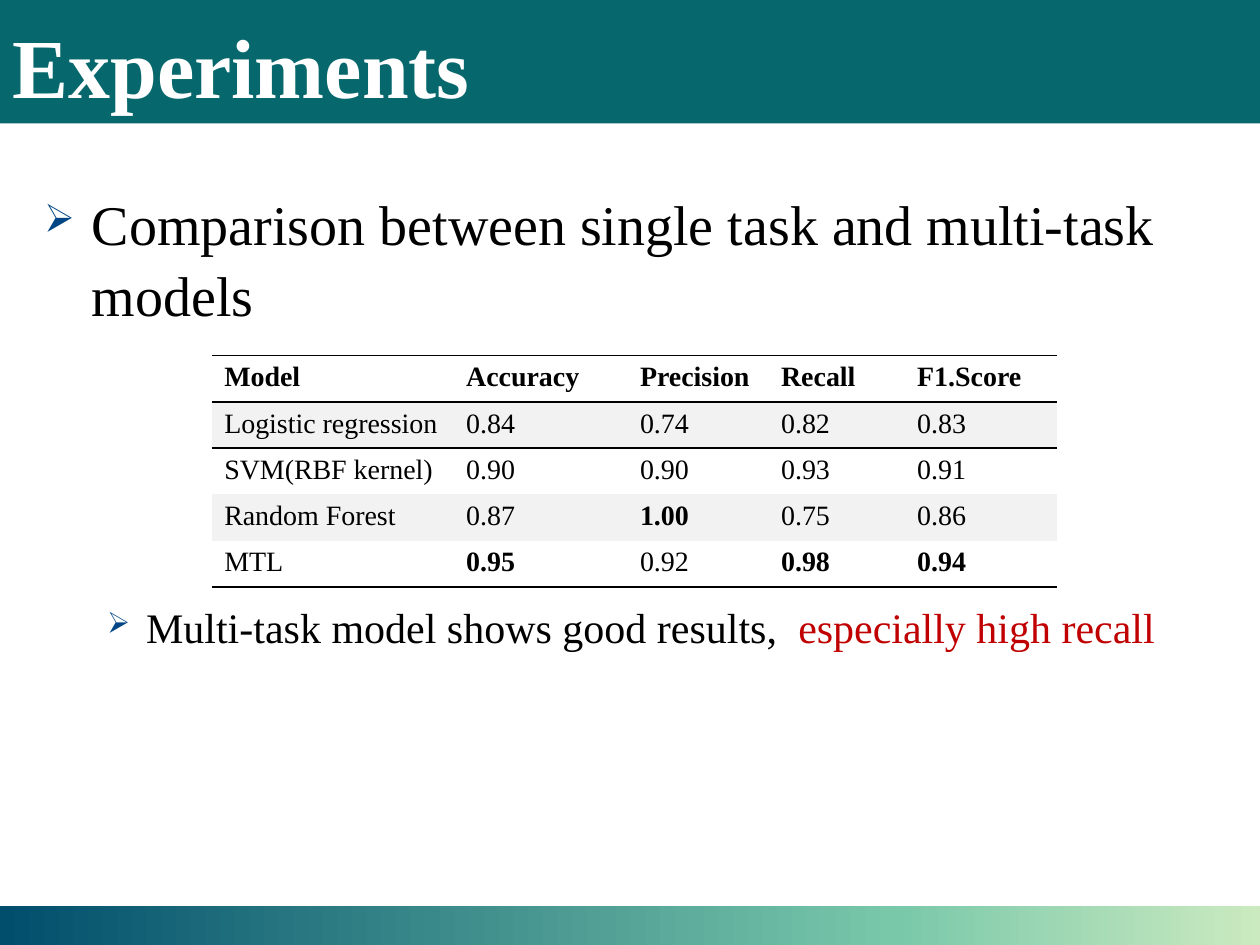
from copy import deepcopy
from dataclasses import dataclass
from typing import Optional

from pptx import Presentation
from pptx.dml.color import RGBColor
from pptx.enum.shapes import MSO_SHAPE
from pptx.enum.text import MSO_ANCHOR, PP_ALIGN
from pptx.oxml.ns import qn
from pptx.oxml.xmlchemy import OxmlElement
from pptx.util import Inches, Pt


@dataclass(frozen=True)
class Theme:
    """Colours, font and type sizes of the slide."""
    font: str = "Times New Roman"
    ink: str = "000000"
    white: str = "FFFFFF"
    header: str = "06686C"
    stripe: str = "F2F2F2"
    accent: str = "C00000"
    bullet: str = "004586"
    footer: tuple = ((0, "CBEAC0"), (0.29, "79C8AA"), (1, "004E6C"))
    title_size: int = 48
    table_size: int = 16
    rule_width: float = 1


@dataclass(frozen=True)
class Span:
    """A stretch of text in one colour."""
    text: str
    color: str


@dataclass(frozen=True)
class Bullet:
    """A bulleted paragraph with its indents in inches and spacing in points."""
    spans: tuple
    size: int
    level: int
    margin: float
    hanging: float
    space_before: float


THEME = Theme()
WIDTH, HEIGHT = 10, 7.5
HEADER_HEIGHT = 0.98
FOOTER_TOP = 7.19

BULLETS = (
    Bullet((Span("Comparison between single task and multi-task models", THEME.ink),),
           32, 0, 0.38, 0.38, 6.4),
    Bullet((Span("Multi-task model shows good results,  ", THEME.ink),
            Span("especially high recall", THEME.accent)),
           24, 1, 0.81, 0.31, 155),
)

COLUMN_WIDTHS = (1.92, 1.38, 1.12, 1.08, 1.21)
HEADER_ROW, BODY_ROW = 0.37, 0.33
RESULTS = (
    ("Model", "Accuracy", "Precision", "Recall", "F1.Score"),
    ("Logistic regression", "0.84", "0.74", "0.82", "0.83"),
    ("SVM(RBF kernel)", "0.90", "0.90", "0.93", "0.91"),
    ("Random Forest", "0.87", "1.00", "0.75", "0.86"),
    ("MTL", "0.95", "0.92", "0.98", "0.94"),
)


def style(span, size: float, color: str, bold: bool = False) -> None:
    """Format one run."""
    span.font.name = THEME.font
    span.font.size = Pt(size)
    span.font.bold = bold
    span.font.color.rgb = RGBColor.from_string(color)


def add_band(page, top: float, height: float, color: Optional[str] = None) -> None:
    """Draw a full-width band behind the title, with the footer gradient if no colour is given."""
    band = page.shapes.add_shape(MSO_SHAPE.RECTANGLE, 0, Inches(top), Inches(WIDTH), Inches(height))
    band.shadow.inherit = False
    band.line.fill.background()
    if color:
        band.fill.solid()
        band.fill.fore_color.rgb = RGBColor.from_string(color)
    else:
        band.fill.gradient()
        band.fill.gradient_angle = 180
        first = band.fill.gradient_stops[0]._gs
        first.addnext(deepcopy(first))
        for stop, (position, shade) in zip(band.fill.gradient_stops, THEME.footer):
            stop.position = position
            stop.color.rgb = RGBColor.from_string(shade)
    page.shapes._spTree.insert(2, band._element)


def set_title(page, text: str) -> None:
    """Place and format the title placeholder."""
    title = page.shapes.title
    title.left, title.top = 0, 0
    title.width, title.height = Inches(WIDTH), Inches(HEADER_HEIGHT)
    frame = title.text_frame
    frame.text = text
    frame.vertical_anchor = MSO_ANCHOR.BOTTOM
    para = frame.paragraphs[0]
    para.alignment = PP_ALIGN.LEFT
    para.line_spacing = 0.9
    style(para.runs[0], THEME.title_size, THEME.white, True)


def add_bullet_mark(para, bullet: Bullet) -> None:
    """Give a paragraph its arrow bullet and hanging indent."""
    properties = para._p.get_or_add_pPr()
    properties.set("marL", str(Inches(bullet.margin)))
    properties.set("indent", str(-Inches(bullet.hanging)))
    color = OxmlElement("a:buClr")
    shade = OxmlElement("a:srgbClr")
    shade.set("val", THEME.bullet)
    color.append(shade)
    size = OxmlElement("a:buSzPct")
    size.set("val", "70000")
    mark = OxmlElement("a:buChar")
    mark.set("char", "\u27a2")
    properties.extend((color, size, mark))


def add_bullets(page) -> None:
    """Write the bulleted text."""
    box = page.shapes.add_textbox(Inches(0.35), Inches(1.48), Inches(9.45), Inches(5.44))
    frame = box.text_frame
    frame.word_wrap = True
    frame.margin_left = frame.margin_right = frame.margin_top = frame.margin_bottom = 0
    for index, bullet in enumerate(BULLETS):
        para = frame.add_paragraph() if index else frame.paragraphs[0]
        para.level = bullet.level
        para.line_spacing = 1.05
        para.space_before = Pt(bullet.space_before)
        add_bullet_mark(para, bullet)
        for part in bullet.spans:
            span = para.add_run()
            span.text = part.text
            style(span, bullet.size, part.color)


def add_rule(cell, tag: str, position: int) -> None:
    """Draw one border of a cell."""
    rule = OxmlElement(tag)
    rule.set("w", str(Pt(THEME.rule_width)))
    fill = OxmlElement("a:solidFill")
    shade = OxmlElement("a:srgbClr")
    shade.set("val", THEME.ink)
    fill.append(shade)
    rule.append(fill)
    cell._tc.get_or_add_tcPr().insert(position, rule)


def add_results(page) -> None:
    """Build the results table with the best score of each column in bold."""
    last = len(RESULTS) - 1
    heights = [HEADER_ROW] + [BODY_ROW] * last
    table = page.shapes.add_table(len(RESULTS), len(COLUMN_WIDTHS), Inches(1.68), Inches(2.82),
                                  Inches(sum(COLUMN_WIDTHS)), Inches(sum(heights))).table
    table.first_row = table.horz_banding = False
    table._tbl.tblPr.find(qn("a:tableStyleId")).text = "{2D5ABB26-0587-4C30-8999-92F81FD0307C}"
    for column, width in zip(table.columns, COLUMN_WIDTHS):
        column.width = Inches(width)
    best = [max(scores) for scores in zip(*RESULTS[1:])]
    for row, (values, height) in enumerate(zip(RESULTS, heights)):
        table.rows[row].height = Inches(height)
        for column, value in enumerate(values):
            cell = table.cell(row, column)
            cell.text = value
            bold = row == 0 or (column > 0 and value == best[column])
            style(cell.text_frame.paragraphs[0].runs[0], THEME.table_size, THEME.ink, bold)
            if row % 2:
                cell.fill.solid()
                cell.fill.fore_color.rgb = RGBColor.from_string(THEME.stripe)
            else:
                cell.fill.background()
            if row in (0, last):
                add_rule(cell, "a:lnB", 0)
            if row == 0:
                add_rule(cell, "a:lnT", 0)
            if row == 1:
                add_rule(cell, "a:lnT", 0)


def main() -> None:
    """Build and save the slide."""
    deck = Presentation()
    deck.slide_width, deck.slide_height = Inches(WIDTH), Inches(HEIGHT)
    page = deck.slides.add_slide(deck.slide_layouts[5])
    add_band(page, 0, HEADER_HEIGHT, THEME.header)
    add_band(page, FOOTER_TOP, HEIGHT - FOOTER_TOP)
    set_title(page, "Experiments")
    add_bullets(page)
    add_results(page)
    deck.save("out.pptx")


main()
